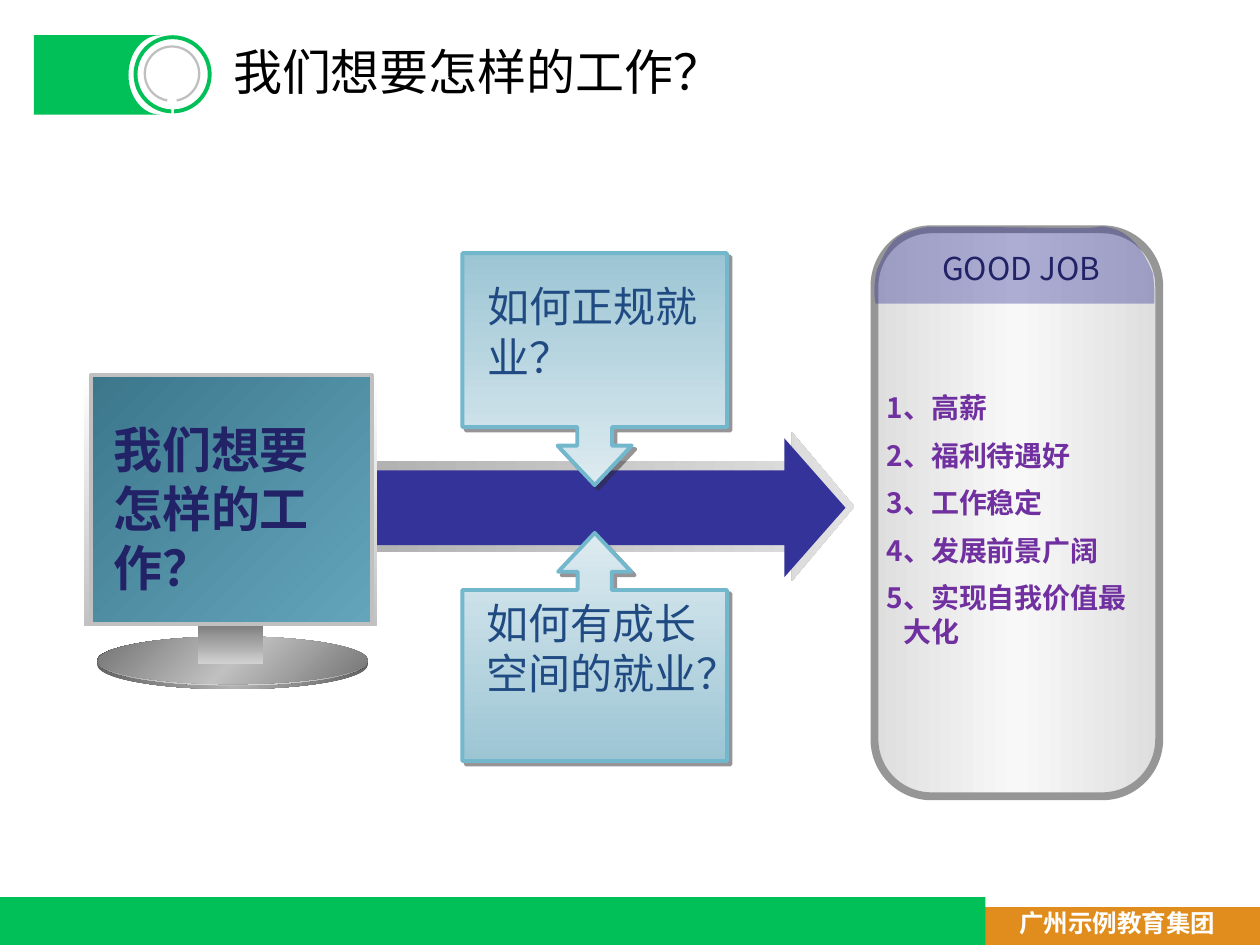
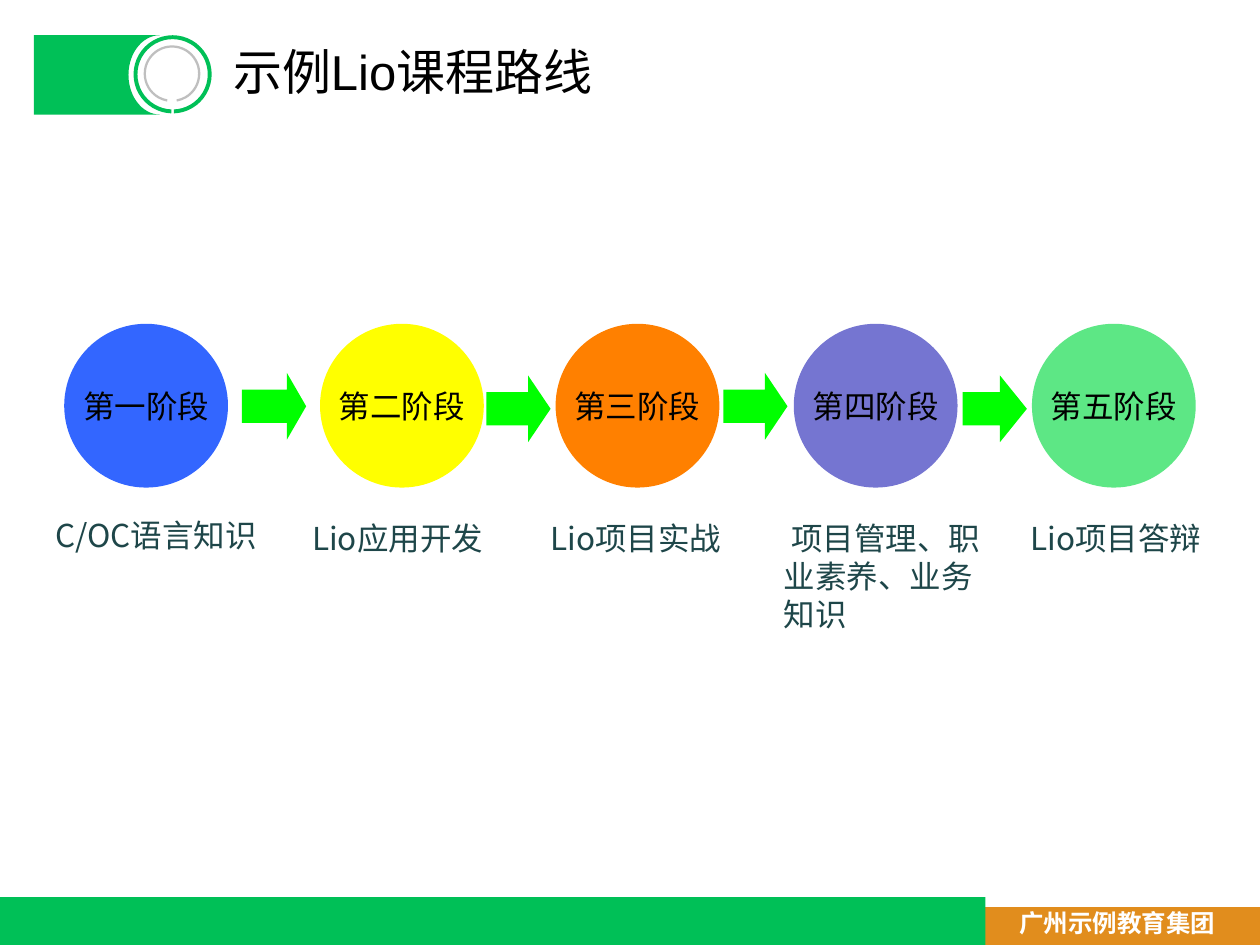
from copy import deepcopy
from math import cos, radians, sin

from lxml import etree
from pptx import Presentation
from pptx.dml.color import RGBColor
from pptx.enum.shapes import MSO_SHAPE
from pptx.enum.text import MSO_ANCHOR, PP_ALIGN
from pptx.oxml.ns import qn
from pptx.util import Inches, Pt

RECT, ROUND, OVAL = MSO_SHAPE.RECTANGLE, MSO_SHAPE.ROUNDED_RECTANGLE, MSO_SHAPE.OVAL
ARROW, CALL, ARC = MSO_SHAPE.RIGHT_ARROW, MSO_SHAPE.DOWN_ARROW_CALLOUT, MSO_SHAPE.BLOCK_ARC
LEFT, MID = PP_ALIGN.LEFT, PP_ALIGN.CENTER
TOP, CENTER = MSO_ANCHOR.TOP, MSO_ANCHOR.MIDDLE
CJK = "Noto Sans CJK SC"
GREEN, GOLD, GREY, NAVY, INK = "00C057", "E18D1D", "BFBFBF", "222267", "1E4649"


def paint(fill, tone, turn=0):
    """Fill with one hex colour, or with a gradient of evenly spaced ones."""
    if isinstance(tone, str):
        fill.solid()
        fill.fore_color.rgb = RGBColor.from_string(tone)
        return
    fill.gradient()
    fill.gradient_angle = (360 - turn) % 360
    first = fill.gradient_stops[0]._gs
    for _ in tone[2:]:
        first.addnext(deepcopy(first))
    for i, (stop, shade) in enumerate(zip(fill.gradient_stops, tone)):
        stop.position = i / (len(tone) - 1)
        stop.color.rgb = RGBColor.from_string(shade)


def write(frame, text, size=18, tone="000000", bold=False, font=CJK, align=LEFT,
          anchor=TOP, wrap=True, gap=0, margin=0, indent=0):
    """Set each line of text as one paragraph."""
    frame.word_wrap = wrap
    frame.vertical_anchor = anchor
    for i, line in enumerate(text.split("\n")):
        para = frame.add_paragraph() if i else frame.paragraphs[0]
        para.alignment = align
        para.space_before = Pt(gap if i else 0)
        props = para._p.get_or_add_pPr()
        props.set("marL", str(Inches(margin)))
        props.set("indent", str(Inches(indent)))
        run = para.add_run()
        run.text = line
        run.font.size, run.font.bold, run.font.name = Pt(size), bold, font
        paint(run.font.fill, tone)
        etree.SubElement(run._r.get_or_add_rPr(), qn("a:ea"), typeface=CJK)


deck = Presentation()
deck.slide_width, deck.slide_height = Inches(10), Inches(7.5)

# Shared frame: footer bands, title badge, title
slides = []
for title, font in [("我们想要怎样的工作？", CJK), ("示例Lio课程路线", "Arial")]:
    slide = deck.slides.add_slide(deck.slide_layouts[5])
    slides.append(slide)
    for kind, box, tone, adj in [
        (RECT, (7.52, 7.2, 2.48, 0.3), GOLD, []),
        (RECT, (0, 7.12, 7.82, 0.38), GREEN, []),
        (ARC, (1.06, 0.28, 0.62, 0.62), GREEN, [55.2, 52.8, 0.05]),
        (ARC, (1.14, 0.36, 0.45, 0.45), GREY, [60, 48, 0.04]),
    ]:
        shape = slide.shapes.add_shape(kind, *map(Inches, box))
        shape.shadow.inherit = False
        for i, value in enumerate(adj):
            shape.adjustments[i] = value
        paint(shape.fill, tone)
        shape.line.fill.background()

    # Green tab with a round bite on its right
    curve = [(1.27 + 0.25 * cos(radians(a)), 0.595 + 0.315 * sin(radians(a)))
             for a in range(270, 89, -6)]
    pen = slide.shapes.build_freeform(Inches(0.27), Inches(0.28), scale=1.0)
    pen.add_line_segments([(Inches(x), Inches(y)) for x, y in curve + [(0.27, 0.91)]])
    tab = pen.convert_to_shape()
    tab.shadow.inherit = False
    paint(tab.fill, GREEN)
    tab.line.fill.background()

    foot = slide.shapes.add_textbox(*map(Inches, (7.99, 7.16, 1.76, 0.34)))
    write(foot.text_frame, "广州示例教育集团", size=14, tone="FFFFFF", bold=True, wrap=False)
    head = slide.shapes.title
    head.left, head.top, head.width, head.height = map(Inches, (1.75, 0.28, 6.51, 0.56))
    write(head.text_frame, title, size=28, font=font)

jobs, route = slides

# Slide 1: arrow, screen, panel, callouts
SKY = ["9CC5D4", "DDEBF0"]
for kind, box, adj, tone, turn, edge, width in [
    (ARROW, (2.99, 3.43, 3.79, 1.18), [0.61, 0.42], ["B2B2B2", "E1E1E1"], 0, None, 0),
    (ARROW, (2.72, 3.48, 3.99, 1.1), [0.54, 0.44], "333399", 0, None, 0),
    (OVAL, (0.77, 5.08, 2.15, 0.39), [], ["636363", "B2B2B2", "636363"], 0, None, 0),
    (OVAL, (0.77, 5.05, 2.15, 0.39), [], ["000000", "D5D5D5"], 90, None, 0),
    (OVAL, (0.78, 5.05, 2.14, 0.38), [], ["737373", "C0C0C0", "737373"], 45, None, 0),
    (RECT, (1.57, 4.93, 0.52, 0.34), [], ["777777", "D1D1D1"], 90, None, 0),
    (RECT, (0.67, 2.96, 2.32, 2.01), [], ["FFFFFF", "C2C2C2"], 90, None, 0),
    (RECT, (0.72, 2.98, 2.23, 1.97), [], ["3C778C", "64A5BC"], 45, "C0C0C0", 2.25),
    (ROUND, (5.82, 2.94, 4.5, 2.26), [0.2], ["DEDEDE", "F8F8F8", "DEDEDE"], 90, "969696", 4.5),
    (CALL, (3.67, 4.23, 2.1, 1.81), [0.15, 0.16, 0.17, 0.75], SKY, 90, "72B7CC", 2.25),
    (CALL, (3.67, 2.01, 2.1, 1.84), [0.15, 0.16, 0.17, 0.75], SKY, 90, "72B7CC", 2.25),
]:
    shape = jobs.shapes.add_shape(kind, *map(Inches, box))
    shape.shadow.inherit = False
    for i, value in enumerate(adj):
        shape.adjustments[i] = value
    paint(shape.fill, tone, turn)
    if edge:
        paint(shape.line.fill, edge)
        shape.line.width = Pt(width)
    else:
        shape.line.fill.background()
    if kind == ROUND:
        shape.rotation = 90
    if kind == CALL:
        if box[1] > 4:
            shape._element.spPr.xfrm.set("flipV", "1")
        effect = shape._element.spPr.find(qn("a:effectLst"))
        cast = etree.SubElement(effect, qn("a:outerShdw"), blurRad="0",
                                dist=str(Pt(2.8)), dir="2700000", algn="ctr")
        shade = etree.SubElement(cast, qn("a:srgbClr"), val="302A32")
        etree.SubElement(shade, qn("a:alpha"), val="50000")

# Panel cap, each curve given by two handles and its end
last = (6.95, 2.41)
points = []
for curve in [
    ((6.95, 2.41), (6.92, 2.3), (6.96, 2.14)),
    ((7.01, 2.04), (7.06, 1.87), (7.24, 1.83)),
    ((7.42, 1.78), (7.35, 1.81), (7.57, 1.8)),
    ((7.79, 1.8), (8.37, 1.81), (8.57, 1.81)),
    ((8.78, 1.81), (8.69, 1.78), (8.82, 1.81)),
    ((8.95, 1.84), (9.07, 1.96), (9.15, 2.17)),
    ((9.17, 2.32), (9.16, 2.41), (9.16, 2.41)),
]:
    for step in range(1, 9):
        t = step / 8
        mix = ((1 - t) ** 3, 3 * t * (1 - t) ** 2, 3 * t * t * (1 - t), t ** 3)
        points.append([Inches(sum(m * p[axis] for m, p in zip(mix, (last, *curve))))
                       for axis in (0, 1)])
    last = curve[-1]
pen = jobs.shapes.build_freeform(Inches(6.95), Inches(2.41), scale=1.0)
pen.add_line_segments(points)
cap = pen.convert_to_shape()
cap.shadow.inherit = False
paint(cap.fill, "333399")
cap.line.fill.background()
shade = cap._element.spPr.find(qn("a:solidFill"))[0]
etree.SubElement(shade, qn("a:alpha"), val="38000")

# Words on slide 1
perks = "1、高薪\n2、福利待遇好\n3、工作稳定\n4、发展前景广阔\n5、实现自我价值最大化"
for box, text, style in [
    ((0.8, 3.28, 2.08, 1.51), "我们想要怎样的工作？", dict(size=28, tone=NAVY, bold=True)),
    ((7.34, 1.93, 1.53, 0.4), "GOOD JOB", dict(tone=NAVY, align=MID, wrap=False)),
    ((6.94, 3.05, 2.26, 2.26), perks,
     dict(size=16, tone="7030A0", bold=True, gap=8, margin=0.13, indent=-0.13)),
    ((3.77, 2.18, 1.88, 0.91), "如何正规就业？", dict(size=24, tone="204A82")),
    ((3.76, 4.69, 1.95, 1.31), "如何有成长空间的就业？", dict(size=24, tone="204A82")),
]:
    note = jobs.shapes.add_textbox(*map(Inches, box))
    write(note.text_frame, text, **style)

# Slide 2: five stages with their topics
for name, x, tone, topic, left, top, width in [
    ("第一阶段", 0.51, "3366FF", "C/OC语言知识", 0.28, 4.05, 1.86),
    ("第二阶段", 2.54, "FFFF00", "Lio应用开发", 2.32, 4.07, 1.76),
    ("第三阶段", 4.41, "FF8000", "Lio项目实战", 4.21, 4.07, 1.65),
    ("第四阶段", 6.3, "7575D1", "项目管理、职业素养、业务知识", 6.12, 4.07, 1.79),
    ("第五阶段", 8.19, "5DE785", "Lio项目答辩", 8.02, 4.07, 1.63),
]:
    disc = route.shapes.add_shape(OVAL, *map(Inches, (x, 2.57, 1.3, 1.3)))
    disc.shadow.inherit = False
    paint(disc.fill, tone)
    disc.line.fill.background()
    write(disc.text_frame, name, align=MID, anchor=CENTER, wrap=False)
    note = route.shapes.add_textbox(*map(Inches, (left, top, width, 0.4)))
    write(note.text_frame, topic, tone=INK, indent=0.06)

# Arrows between stages
for x, y, tip in [(1.92, 2.96, 0.3), (3.86, 2.98, 0.35), (5.74, 2.96, 0.35), (7.64, 2.98, 0.42)]:
    arrow = route.shapes.add_shape(ARROW, *map(Inches, (x, y, 0.51, 0.53)))
    arrow.shadow.inherit = False
    arrow.adjustments[1] = tip
    paint(arrow.fill, "00FF00")
    arrow.line.fill.background()

deck.save("out.pptx")
